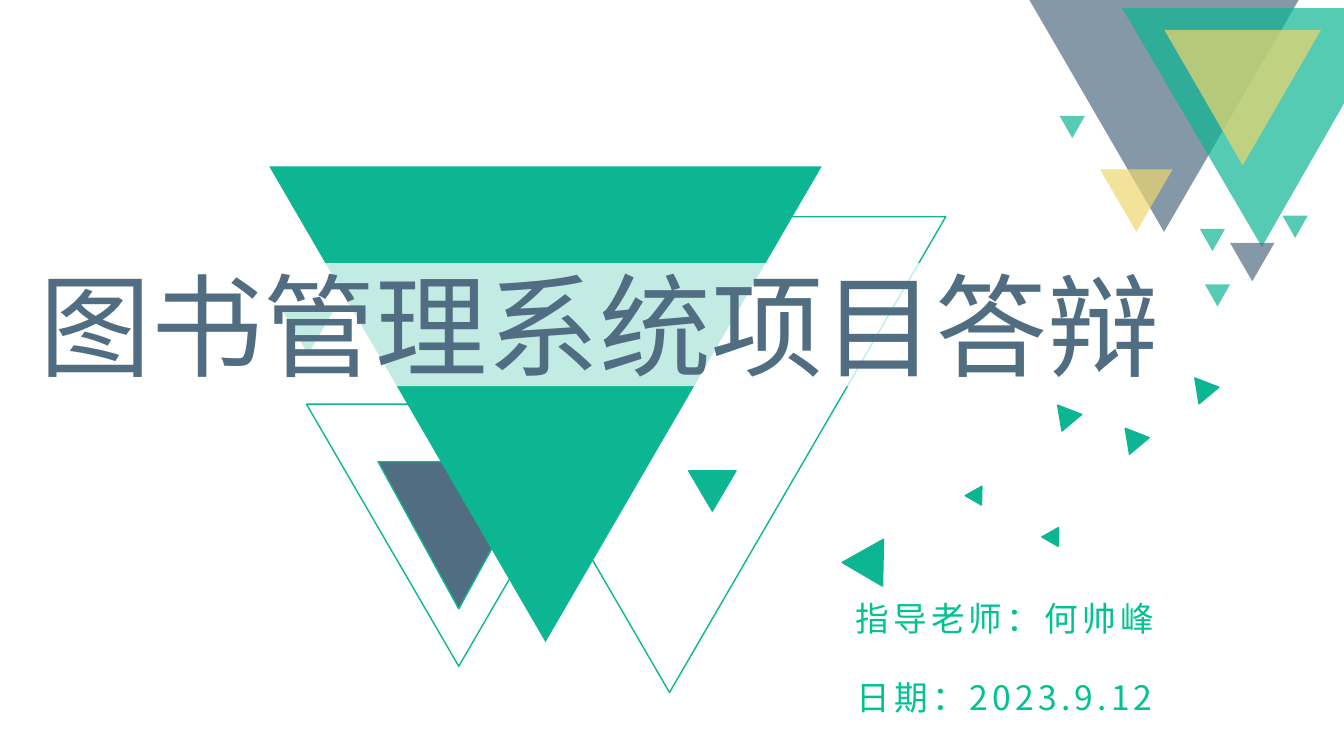
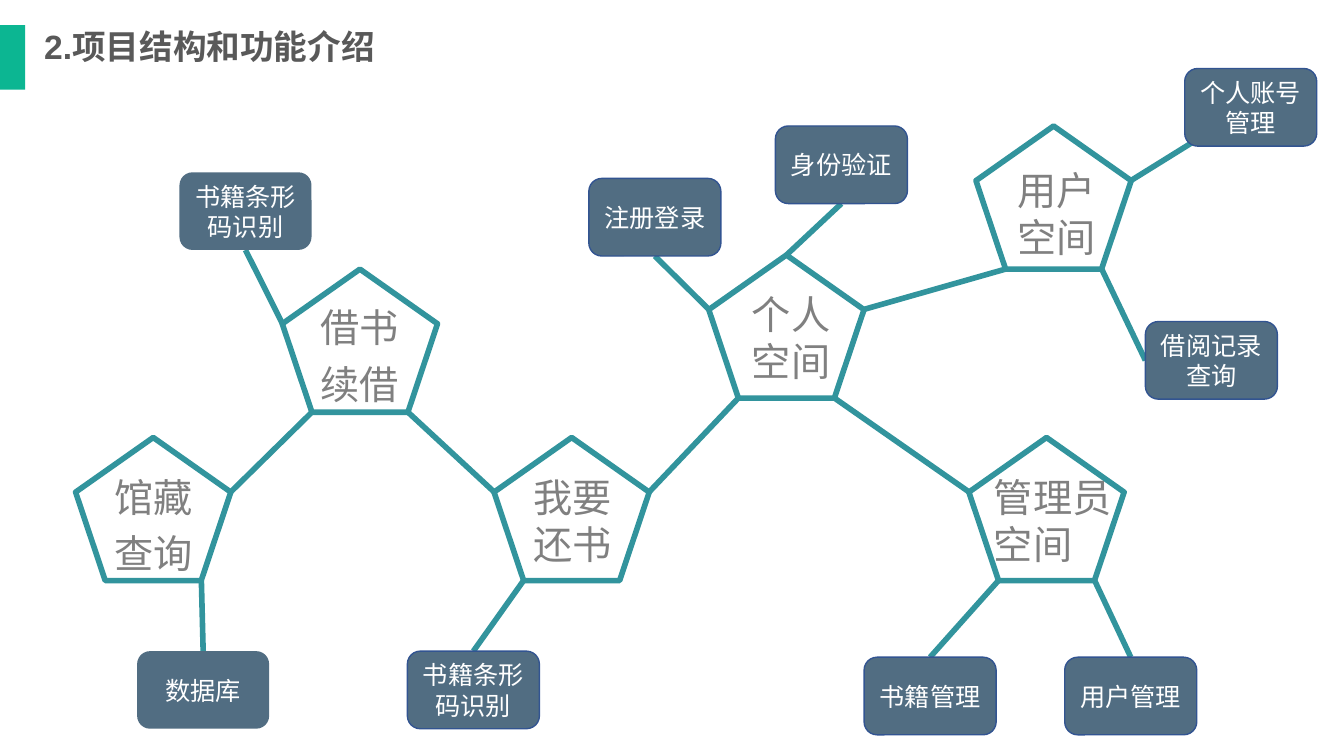
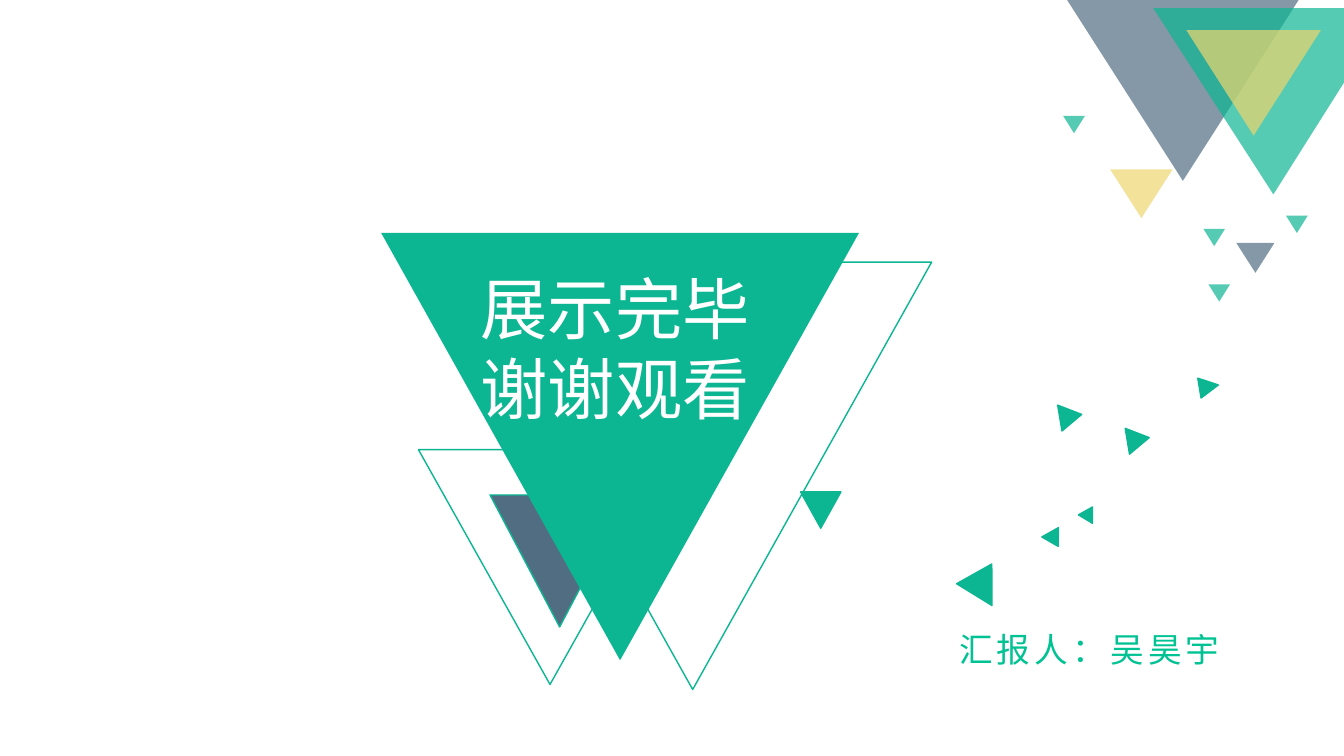
from dataclasses import dataclass

from lxml.etree import SubElement
from pptx import Presentation
from pptx.dml.color import RGBColor as RGB
from pptx.enum.shapes import MSO_CONNECTOR as Connector, MSO_SHAPE as Shape
from pptx.enum.text import MSO_ANCHOR as Anchor, PP_ALIGN as Align
from pptx.oxml.ns import qn
from pptx.util import Inches, Pt


@dataclass(frozen=True)
class Theme:
    green: str = "0CB692"
    slate: str = "516D82"
    yellow: str = "EED66F"
    white: str = "FFFFFF"
    teal: str = "32949D"
    navy: str = "325491"
    grey: str = "808080"
    heading: str = "595959"
    mint: str = "01C293"
    body_font: str = "Noto Sans CJK SC"
    heading_font: str = "Arial"
    cover_size: int = 80
    closing_size: int = 48
    node_size: int = 28
    heading_size: int = 24
    label_size: int = 18
    line_height: float = 1.2


T = Theme()

# Decoration in the top right corner: right edge, top, width, height, colour
CORNER_TRIANGLES = [
    (13.1, 0.3, 1.55, 1.34, T.yellow),
    (11.63, 1.68, 0.72, 0.62, T.yellow),
    (12.97, 2.14, 0.25, 0.22, T.green),
    (12.2, 2.82, 0.25, 0.22, T.green),
    (12.15, 2.27, 0.25, 0.22, T.green),
    (12.64, 2.41, 0.44, 0.38, T.slate),
    (10.76, 1.15, 0.25, 0.22, T.green),
]

# Attachment points as fractions of a shape's width and height
PENTAGON_POINTS = {"top": (0.5, 0), "left": (0, 0.38), "right": (1, 0.38),
                   "bottom left": (0.19, 1), "bottom right": (0.81, 1)}
LABEL_POINTS = {"top": (0.5, 0), "bottom": (0.5, 1), "left": (0, 0.5),
                "corner": (0.06, 0.95)}
PENTAGON_SIZE = (1.54, 1.42)
LABEL_SIZE = (1.31, 0.77)

# Pentagon place, caption, caption place and width, line spacing
PENTAGONS = {
    "catalogue": (0.75, 4.34, "馆藏查询", 1.04, 4.55, 1.1, 1.2),
    "borrow": (2.8, 2.67, "借书续借", 3.08, 2.87, 1.1, 1.2),
    "return": (4.9, 4.34, "我要还书", 5.19, 4.65, 1.1, 1),
    "personal": (7.03, 2.53, "个人空间", 7.36, 2.83, 1.1, 1),
    "admin": (9.61, 4.34, "管理员空间", 9.76, 4.65, 1.47, 1),
    "user": (9.68, 1.25, "用户空间", 9.99, 1.6, 1.1, 1),
}
PENTAGON_LINKS = [
    ("borrow", "bottom left", "catalogue", "right"),
    ("borrow", "bottom right", "return", "left"),
    ("personal", "bottom left", "return", "right"),
    ("personal", "bottom right", "admin", "left"),
    ("personal", "right", "user", "bottom left"),
]
# Label place, text, outline, own attachment, pentagon and its attachment
LABELS = [
    (1.78, 1.71, "书籍条形码识别", None, "bottom", "borrow", "left"),
    (1.36, 6.46, "数据库", None, "top", "catalogue", "bottom right"),
    (4.04, 6.46, "书籍条形码识别", T.navy, "top", "return", "bottom left"),
    (5.84, 1.77, "注册登录", T.navy, "bottom", "personal", "left"),
    (7.69, 1.25, "身份验证", T.navy, "bottom", "personal", "top"),
    (8.57, 6.52, "书籍管理", T.navy, "top", "admin", "bottom left"),
    (10.56, 6.52, "用户管理", T.navy, "top", "admin", "bottom right"),
    (11.75, 0.68, "个人账号管理", T.navy, "corner", "user", "right"),
    (11.36, 3.19, "借阅记录查询", T.navy, "left", "user", "bottom right"),
]


def paint(shape, fill=None, alpha=None, line=None, weight=1):
    """Give a shape its fill, transparency and outline."""
    shape.shadow.inherit = False
    if fill:
        shape.fill.solid()
        shape.fill.fore_color.rgb = RGB.from_string(fill)
        if alpha:
            colour = shape.fill._xPr.find(".//" + qn("a:srgbClr"))
            SubElement(colour, qn("a:alpha"), val=str(alpha * 1000))
    else:
        shape.fill.background()
    if line:
        shape.line.color.rgb = RGB.from_string(line)
        shape.line.width = Pt(weight)
    else:
        shape.line.fill.background()
    return shape


def add_shape(slide, kind, box, rotation=0, **look):
    shape = slide.shapes.add_shape(kind, *map(Inches, box))
    shape.rotation = rotation
    return paint(shape, **look)


def add_triangle(slide, *box, rotation=180, **look):
    return add_shape(slide, Shape.ISOSCELES_TRIANGLE, box, rotation, **look)


def add_link(slide, start, end):
    link = slide.shapes.add_connector(
        Connector.STRAIGHT, *map(Inches, (*start, *end)))
    link.line.color.rgb = RGB.from_string(T.teal)
    link.line.width = Pt(4)
    SubElement(link._element.spPr, qn("a:effectLst"))


def write(frame, text, size, color, font=T.body_font, bold=False,
          align=Align.LEFT, anchor=Anchor.TOP, spacing=1, tracking=0, gap=0):
    """Fill a text frame, one paragraph for each line of text."""
    frame.word_wrap = True
    frame.vertical_anchor = anchor
    for index, words in enumerate(text.split("\n")):
        paragraph = frame.add_paragraph() if index else frame.paragraphs[0]
        paragraph.alignment = align
        paragraph.line_spacing = Pt(round(size * T.line_height * spacing, 1))
        paragraph.space_before = Pt(gap if index else 0)
        run = paragraph.add_run()
        run.text = words
        run.font.size = Pt(size)
        run.font.bold = bold
        run.font.name = font
        run.font.color.rgb = RGB.from_string(color)
        properties = run.font._element
        SubElement(properties, qn("a:ea"), typeface=T.body_font)
        if tracking:
            properties.set("spc", str(tracking * 100))


def add_text(slide, box, text, size, color, **style):
    frame = slide.shapes.add_textbox(*map(Inches, box)).text_frame
    write(frame, text, size, color, **style)


def add_corner(slide, across=1.0, down=1.0):
    """Draw the corner triangles, scaled from their right and top edges."""
    def place(right, top, width, height):
        return right - width * across, top, width * across, height * down

    add_triangle(slide, *place(12.88, 0, 2.67, 2.3), fill=T.slate, alpha=70)

    # Green triangle cut off by the slide's right edge
    left, top, width, height = place(13.33, 0.08, 2.2, 2.37)
    outline = [(Inches(left + x * width), Inches(top + y * height))
               for x, y in [(0, 0), (1, 0), (1, 0.4), (0.63, 1)]]
    builder = slide.shapes.build_freeform(*outline[0])
    builder.add_line_segments(outline[1:], close=True)
    paint(builder.convert_to_shape(), fill=T.green, alpha=70)

    for *box, color in CORNER_TRIANGLES:
        add_triangle(slide, *place(*box), fill=color, alpha=70)


def add_emblem(slide, outlines, solids, slate, left_pointing, right_pointing,
               main):
    """Draw the large triangle with those behind and around it."""
    for box in outlines:
        add_triangle(slide, *box, line=T.green)
    for box in solids:
        add_triangle(slide, *box, fill=T.green, line=T.green)
    add_triangle(slide, *slate, fill=T.slate, line=T.green)
    left_pointing = [*left_pointing, (10.36, 5.27, 0.19, 0.16)]
    right_pointing = [*right_pointing, (10.49, 4.02, 0.26, 0.22),
                      (11.16, 4.25, 0.26, 0.22)]
    for rotation, boxes in ((150.7, left_pointing), (80.6, right_pointing)):
        for box in boxes:
            add_triangle(slide, *box, rotation=rotation,
                         fill=T.green, line=T.green)
    add_triangle(slide, *main, fill=T.green)


def add_signature(slide, top, height, text):
    left = 6.76 if "\n" in text else 7.6
    add_text(slide, (left, top, 6.41, height), text, T.heading_size, T.mint,
             align=Align.CENTER, tracking=3, gap=28)


def build_cover(slide):
    add_emblem(
        slide,
        outlines=[(3.9, 2.15, 5.48, 4.72), (3.04, 4.01, 3.02, 2.6)],
        solids=[(2.82, 3.1, 0.47, 0.4), (6.83, 4.67, 0.47, 0.4)],
        slate=(3.75, 4.58, 1.6, 1.46),
        left_pointing=[(8.42, 5.44, 0.47, 0.4), (9.6, 4.86, 0.19, 0.16)],
        right_pointing=[(11.85, 3.75, 0.26, 0.22)],
        main=(2.67, 1.65, 5.48, 4.72))
    add_corner(slide)
    # Title on a translucent band
    add_shape(slide, Shape.RECTANGLE, (0.44, 2.61, 11.04, 1.22),
              fill=T.white, alpha=75)
    add_text(slide, (0.18, 2.5, 11.54, 1.45), "图书管理系统项目答辩",
             T.cover_size, T.slate, align=Align.CENTER)
    add_signature(slide, 5.88, 1.31, "指导老师：何帅峰\n日期：2023.9.12")


def point_on(place, size, fraction):
    return tuple(start + length * part
                 for start, length, part in zip(place, size, fraction))


def build_structure(slide):
    # Heading with its marker
    add_shape(slide, Shape.RECTANGLE, (0, 0.25, 0.25, 0.64), fill=T.green)
    add_text(slide, (0.34, 0.21, 4.24, 0.77), "2.项目结构和功能介绍",
             T.heading_size, T.heading, font=T.heading_font, bold=True)

    def vertex(name, corner):
        return point_on(PENTAGONS[name][:2], PENTAGON_SIZE,
                        PENTAGON_POINTS[corner])

    # Links between the modules
    for source, source_corner, target, target_corner in PENTAGON_LINKS:
        add_link(slide, vertex(source, source_corner),
                 vertex(target, target_corner))

    # Modules
    for x, y, caption, left, top, width, spacing in PENTAGONS.values():
        add_shape(slide, Shape.REGULAR_PENTAGON, (x, y, *PENTAGON_SIZE),
                  line=T.teal, weight=4)
        add_text(slide, (left, top, width, 1.04), caption, T.node_size,
                 T.grey, spacing=spacing)

    # Functions of each module
    for x, y, text, border, side, module, corner in LABELS:
        add_link(slide, point_on((x, y), LABEL_SIZE, LABEL_POINTS[side]),
                 vertex(module, corner))
        label = add_shape(slide, Shape.ROUNDED_RECTANGLE, (x, y, *LABEL_SIZE),
                          fill=T.slate, line=border)
        write(label.text_frame, text, T.label_size, T.white,
              align=Align.CENTER, anchor=Anchor.MIDDLE)


def build_closing(slide):
    add_emblem(
        slide,
        outlines=[(4.5, 2.6, 4.74, 4.24), (4.15, 4.46, 2.61, 2.33)],
        solids=[(7.94, 4.88, 0.4, 0.36)],
        slate=(4.86, 4.91, 1.38, 1.31),
        left_pointing=[(9.55, 5.67, 0.4, 0.36), (10.72, 5.06, 0.16, 0.14)],
        right_pointing=[(11.89, 3.74, 0.2, 0.19)],
        main=(3.78, 2.31, 4.74, 4.24))
    add_corner(slide, across=0.86, down=0.78)
    add_text(slide, (4.67, 2.6, 3.42, 2.02), "展示完毕\n谢谢观看",
             T.closing_size, T.white)
    add_signature(slide, 6.19, 0.5, "汇报人：吴昊宇")


def main():
    deck = Presentation()
    deck.slide_width, deck.slide_height = Inches(13.33), Inches(7.5)
    for build in (build_cover, build_structure, build_closing):
        build(deck.slides.add_slide(deck.slide_layouts[6]))
    deck.save("out.pptx")


if __name__ == "__main__":
    main()
